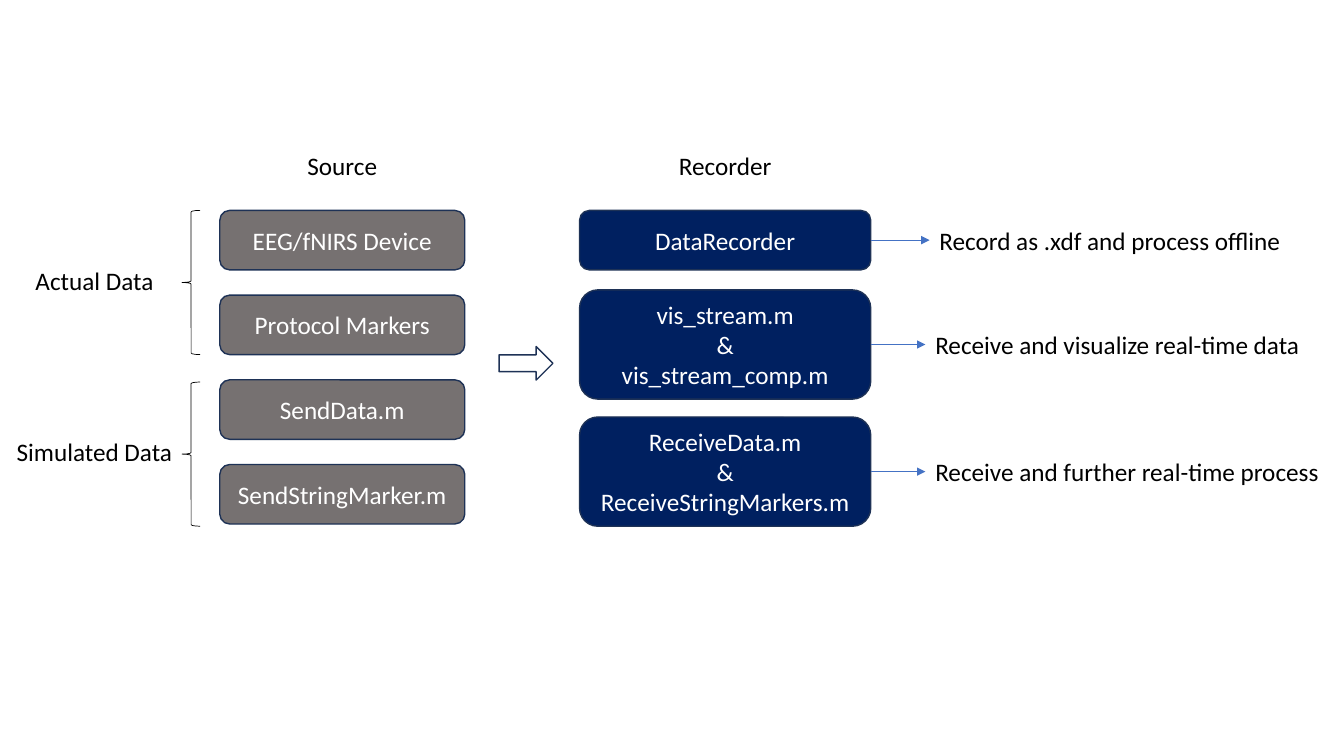
import pptx
import pptx.util
import pptx.dml.color
import pptx.enum.shapes
import pptx.enum.text
import pptx.oxml
import pptx.oxml.ns

Pt = pptx.util.Pt
RGBColor = pptx.dml.color.RGBColor
SHAPE = pptx.enum.shapes.MSO_SHAPE
ALIGN = pptx.enum.text.PP_ALIGN
ANCHOR = pptx.enum.text.MSO_ANCHOR

BLACK = RGBColor(0x00, 0x00, 0x00)
WHITE = RGBColor(0xFF, 0xFF, 0xFF)
GRAY = RGBColor(0x76, 0x71, 0x71)
NAVY = RGBColor(0x00, 0x20, 0x60)
OUTLINE = RGBColor(0x1E, 0x32, 0x56)
BLUE = RGBColor(0x44, 0x72, 0xC4)

LABEL_HEIGHT = 29
HEADING_WIDTH = 122
SMALL_BOX = 42.5


def write(frame, text, color=BLACK, align=ALIGN.CENTER, anchor=ANCHOR.TOP,
          size=18, font="Calibri"):
    """Fill a text frame, one paragraph for each line of text."""
    frame.word_wrap = True
    frame.vertical_anchor = anchor
    frame.text = text
    for paragraph in frame.paragraphs:
        paragraph.alignment = align
        paragraph.font.size = Pt(size)
        paragraph.font.name = font
        paragraph.font.color.rgb = color


def add_label(slide, text, left, top, width, **text_format):
    label = slide.shapes.add_textbox(Pt(left), Pt(top), Pt(width), Pt(LABEL_HEIGHT))
    write(label.text_frame, text, **text_format)


def add_outlined(slide, kind, box, fill=None, line=OUTLINE, weight=1):
    shape = slide.shapes.add_shape(kind, *(Pt(length) for length in box))
    shape.shadow.inherit = False
    if fill is None:
        shape.fill.background()
    else:
        shape.fill.solid()
        shape.fill.fore_color.rgb = fill
    shape.line.color.rgb = line
    shape.line.width = Pt(weight)
    return shape


def add_step(slide, text, box, fill):
    step = add_outlined(slide, SHAPE.ROUNDED_RECTANGLE, box, fill)
    write(step.text_frame, text, color=WHITE, anchor=ANCHOR.MIDDLE)


def add_heading(slide, text, center, column_top):
    add_label(slide, text, center - HEADING_WIDTH / 2, column_top - 46.8, HEADING_WIDTH)


def add_result_arrow(slide, start, end, y):
    arrow = slide.shapes.add_connector(
        pptx.enum.shapes.MSO_CONNECTOR.STRAIGHT, Pt(start), Pt(y), Pt(end), Pt(y))
    arrow.line.color.rgb = BLUE
    arrow.line.width = Pt(0.5)
    namespace = pptx.oxml.ns.nsdecls("a")
    arrow.line._get_or_add_ln().append(
        pptx.oxml.parse_xml(f'<a:tailEnd {namespace} type="triangle"/>'))
    arrow._element.spPr.append(pptx.oxml.parse_xml(f"<a:effectLst {namespace}/>"))


def build_sources(slide, left, top, width, height):
    """Heading and four equally spaced data sources."""
    add_heading(slide, "Source", left + width / 2, top)
    sources = ["EEG/fNIRS Device", "Protocol Markers", "SendData.m", "SendStringMarker.m"]
    pitch = (height - SMALL_BOX) / (len(sources) - 1)
    for row, source in enumerate(sources):
        add_step(slide, source, (left, top + row * pitch, width, SMALL_BOX), GRAY)


def build_data_kinds(slide, left, top, width, height):
    """Braces that group the sources in pairs, with their names."""
    brace_width, brace_height = 13, 103
    brace_left = left + width - brace_width
    # name, left offset, width, offset of the name from its brace
    kinds = [("Actual Data ", 15, 109, 35.3), ("Simulated Data ", 0, 139, 35.3)]
    for row, (kind, offset, label_width, drop) in enumerate(kinds):
        brace_top = top + row * (height - brace_height)
        add_outlined(slide, SHAPE.LEFT_BRACE,
                     (brace_left, brace_top, brace_width, brace_height),
                     line=BLACK, weight=0.5)
        add_label(slide, kind, left + offset, brace_top + drop, label_width)


def build_recorders(slide, left, top, width, height):
    """Heading and three recorders, each with an arrow to its result."""
    add_heading(slide, "Recorder", left + width / 2, top)
    tall, gap = 78, 12.8
    # text, top offset, height, arrow length, result
    recorders = [
        ("DataRecorder", 0, SMALL_BOX, 42, "Record as .xdf and process offline"),
        ("vis_stream.m\n&\nvis_stream_comp.m", height - 2 * tall - gap, tall, 39,
         "Receive and visualize real-time data"),
        ("ReceiveData.m\n&\nReceiveStringMarkers.m", height - tall, tall, 39,
         "Receive and further real-time process"),
    ]
    right = left + width
    for recorder, offset, box_height, reach, result in recorders:
        box_top = top + offset
        middle = box_top + box_height / 2
        add_step(slide, recorder, (left, box_top, width, box_height), NAVY)
        add_result_arrow(slide, right, right + reach, middle)
        add_label(slide, result, right + reach, middle - LABEL_HEIGHT / 2, 291,
                  align=ALIGN.LEFT)


def build_flow_slide(presentation):
    slide = presentation.slides.add_slide(presentation.slide_layouts[6])
    top = 150.3
    build_sources(slide, 157, top, 175, 224)
    build_recorders(slide, 414, top, 208, 225.6)
    build_data_kinds(slide, 0, top, 143, 225.6)
    # Flow from sources to recorders
    add_outlined(slide, SHAPE.RIGHT_ARROW, (356.5, 247.5, 38.5, 24))


presentation = pptx.Presentation()
presentation.slide_width = Pt(960)
presentation.slide_height = Pt(540)
build_flow_slide(presentation)
presentation.save("out.pptx")
